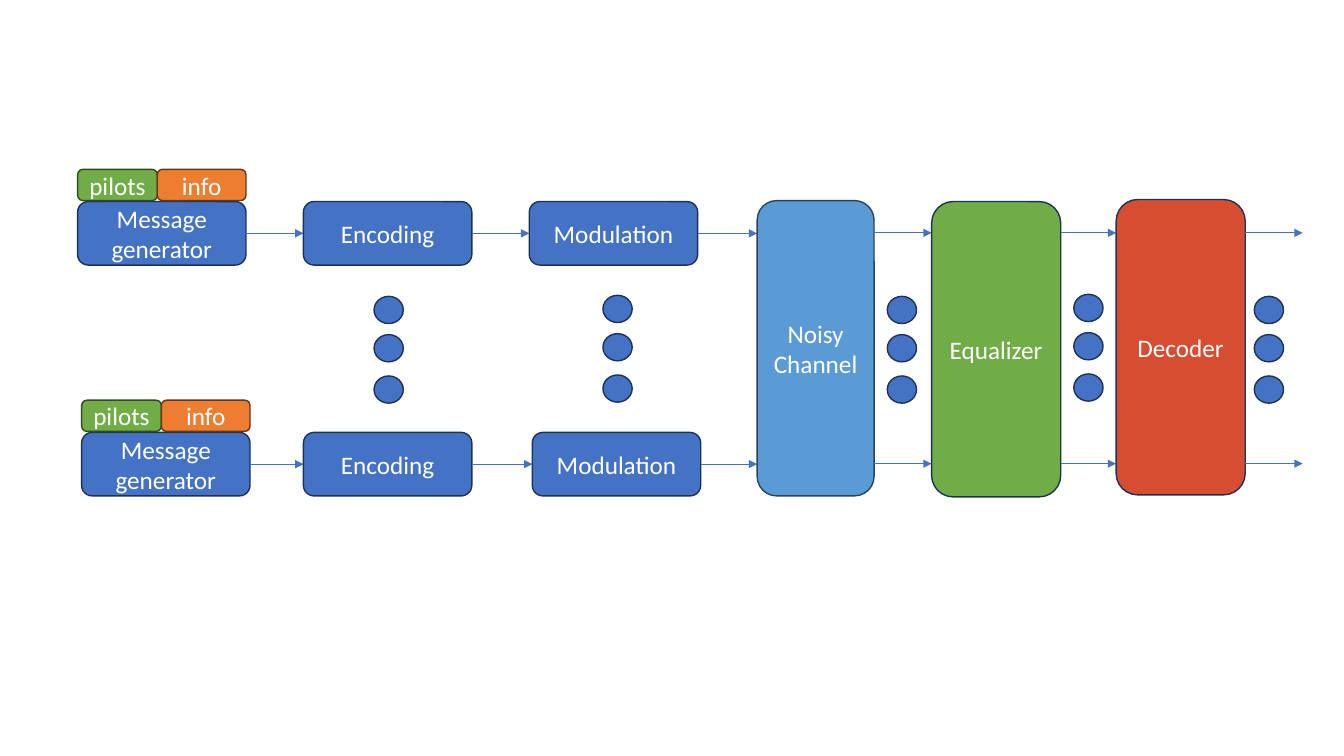
from dataclasses import dataclass

from lxml import etree
from pptx import Presentation
from pptx.dml.color import RGBColor
from pptx.enum.shapes import MSO_CONNECTOR, MSO_SHAPE
from pptx.enum.text import MSO_ANCHOR, PP_ALIGN
from pptx.oxml.ns import qn
from pptx.util import Inches, Pt

ROUNDED = MSO_SHAPE.ROUNDED_RECTANGLE
OVAL = MSO_SHAPE.OVAL
STRAIGHT = MSO_CONNECTOR.STRAIGHT
MIDDLE = MSO_ANCHOR.MIDDLE
CENTER = PP_ALIGN.CENTER


@dataclass(frozen=True)
class Theme:
    """Colours, font and sizes of the diagram."""
    blue: str = "4472C4"
    navy: str = "1E3256"
    green: str = "70AD47"
    dark_green: str = "314C1F"
    orange: str = "ED7D31"
    brown: str = "683715"
    sky: str = "5B9BD5"
    dark_sky: str = "28445D"
    red: str = "D64D32"
    white: str = "FFFFFF"
    font: str = "Calibri"
    text_size: float = 18
    outline: float = 1
    arrow: float = 0.5


THEME = Theme()
STEP_WIDTH, STEP_HEIGHT = 1.67, 0.63
PILOTS_WIDTH, TAG_HEIGHT = 0.79, 0.31
STAGE_HEIGHT = 2.93
DOT_WIDTH, DOT_HEIGHT = 0.29, 0.27
DOT_OFFSETS = (0, 0.38, 0.79)


def add_block(slide, kind, box, fill, outline, label=""):
    """Draw one filled block with an optional centred label."""
    block = slide.shapes.add_shape(kind, *map(Inches, box))
    block.shadow.inherit = False
    block.fill.solid()
    block.fill.fore_color.rgb = RGBColor.from_string(fill)
    block.line.color.rgb = RGBColor.from_string(outline)
    block.line.width = Pt(THEME.outline)
    if not label:
        return
    frame = block.text_frame
    frame.word_wrap = True
    frame.vertical_anchor = MIDDLE
    frame.margin_left = frame.margin_right = 0
    frame.margin_top = frame.margin_bottom = 0
    paragraph = frame.paragraphs[0]
    paragraph.alignment = CENTER
    run = paragraph.add_run()
    run.text = label
    run.font.name = THEME.font
    run.font.size = Pt(THEME.text_size)
    run.font.color.rgb = RGBColor.from_string(THEME.white)


def add_arrow(slide, start, end, y):
    """Draw a horizontal arrow from start to end."""
    arrow = slide.shapes.add_connector(STRAIGHT, *map(Inches, (start, y, end, y)))
    arrow.line.color.rgb = RGBColor.from_string(THEME.blue)
    arrow.line.width = Pt(THEME.arrow)
    etree.SubElement(arrow.line._get_or_add_ln(), qn("a:tailEnd"), type="triangle")
    etree.SubElement(arrow._element.spPr, qn("a:effectLst"))


def add_transmitter(slide, top, generator_left, modulation_left, channel_left):
    """Draw one message chain with its tags, steps and arrows."""
    steps = (("Message generator", generator_left), ("Encoding", 3.01),
             ("Modulation", modulation_left))
    ends = [left for _, left in steps[1:]] + [channel_left]
    for (label, left), end in zip(steps, ends):
        add_block(slide, ROUNDED, (left, top, STEP_WIDTH, STEP_HEIGHT),
                  THEME.blue, THEME.navy, label)
        add_arrow(slide, left + STEP_WIDTH, end, top + STEP_HEIGHT / 2)
    tag_top = top - TAG_HEIGHT - 0.01
    add_block(slide, ROUNDED, (generator_left, tag_top, PILOTS_WIDTH, TAG_HEIGHT),
              THEME.green, THEME.dark_green, "pilots")
    add_block(slide, ROUNDED,
              (generator_left + PILOTS_WIDTH, tag_top, STEP_WIDTH - PILOTS_WIDTH, TAG_HEIGHT),
              THEME.orange, THEME.brown, "info")


def add_receiver(slide, stages, arrow_rows, output_end):
    """Draw the shared tall stages and the arrows leaving each one."""
    ends = [stage[1] for stage in stages[1:]] + [output_end]
    for (label, left, top, width, fill, outline), end in zip(stages, ends):
        add_block(slide, ROUNDED, (left, top, width, STAGE_HEIGHT), fill, outline, label)
        for y in arrow_rows:
            add_arrow(slide, left + width, end, y)


def add_ellipsis(slide, left, top):
    """Draw three stacked dots for the omitted chains."""
    for offset in DOT_OFFSETS:
        add_block(slide, OVAL, (left, top + offset, DOT_WIDTH, DOT_HEIGHT),
                  THEME.blue, THEME.navy)


def build_pipeline(slide):
    """Place the whole communication pipeline on the slide."""
    stages = (
        ("Noisy Channel", 7.51, 1.99, 1.16, THEME.sky, THEME.dark_sky),
        ("Equalizer", 9.24, 2, 1.28, THEME.green, THEME.navy),
        ("Decoder", 11.07, 1.98, 1.28, THEME.red, THEME.navy),
    )
    add_transmitter(slide, 2, 0.77, 5.25, stages[0][1])
    add_transmitter(slide, 4.29, 0.81, 5.28, stages[0][1])
    add_receiver(slide, stages, (2.31, 4.6), 12.92)
    for left, top in ((3.71, 2.94), (5.98, 2.93), (8.8, 2.94), (10.65, 2.92), (12.44, 2.94)):
        add_ellipsis(slide, left, top)


def main():
    """Create the presentation and save it."""
    presentation = Presentation()
    presentation.slide_width = Inches(13.33)
    presentation.slide_height = Inches(7.5)
    build_pipeline(presentation.slides.add_slide(presentation.slide_layouts[6]))
    presentation.save("out.pptx")


if __name__ == "__main__":
    main()
